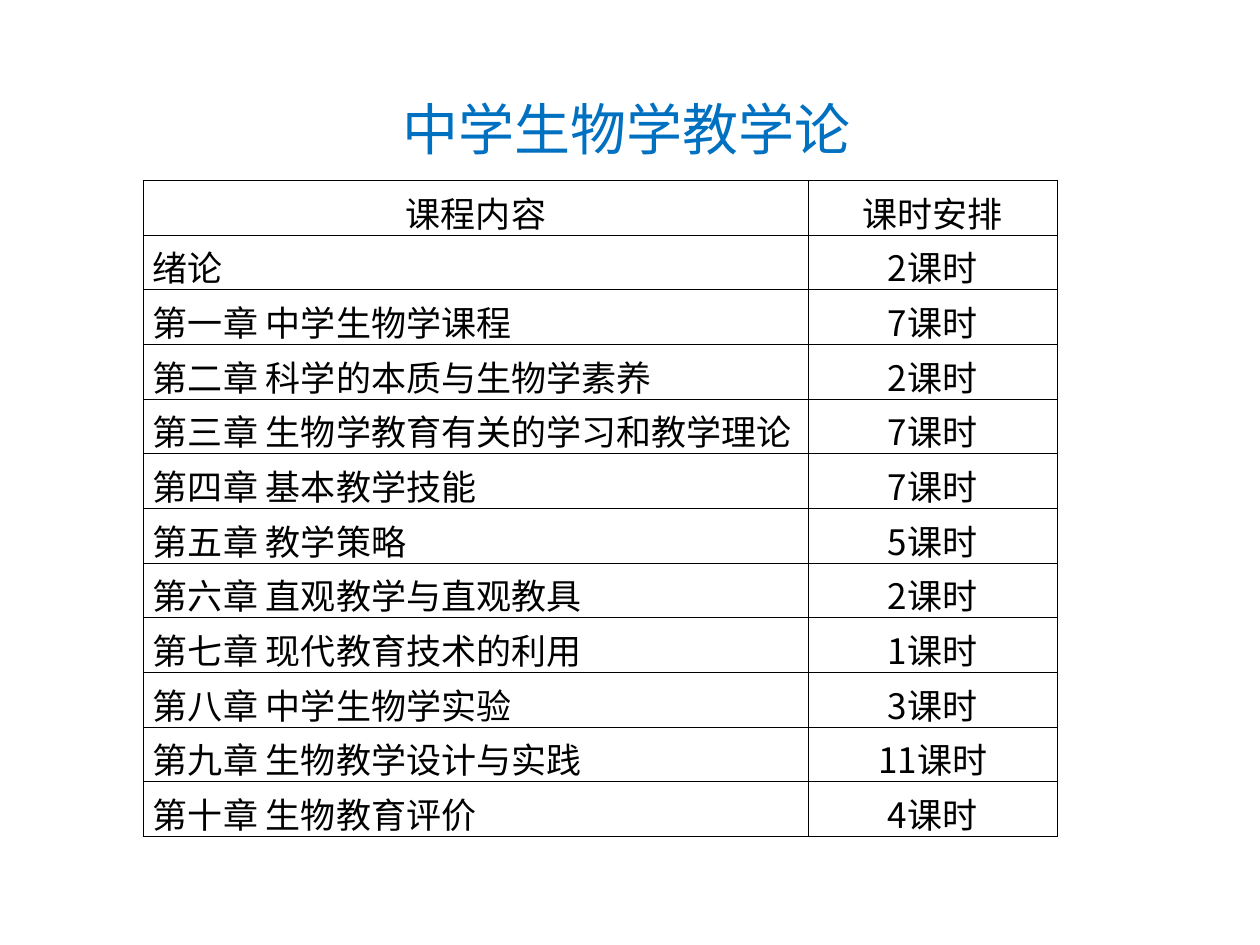
from dataclasses import dataclass

from lxml.etree import SubElement
from pptx import Presentation
from pptx.dml.color import RGBColor
from pptx.enum.text import MSO_ANCHOR, PP_ALIGN
from pptx.oxml.ns import qn
from pptx.util import Pt


@dataclass(frozen=True)
class Theme:
    title_font: str = "Arial"
    body_font: str = "Noto Sans CJK SC"
    title_size: float = 32
    body_size: float = 20
    title_color: str = "0070C0"
    ink: str = "000000"
    border_width: float = 0.45


THEME = Theme()
HEADER = ("课程内容", "课时安排")
COURSE = [
    ("绪论", 2),
    ("第一章 中学生物学课程", 7),
    ("第二章 科学的本质与生物学素养", 2),
    ("第三章 生物学教育有关的学习和教学理论", 7),
    ("第四章 基本教学技能", 7),
    ("第五章 教学策略", 5),
    ("第六章 直观教学与直观教具", 2),
    ("第七章 现代教育技术的利用", 1),
    ("第八章 中学生物学实验", 3),
    ("第九章 生物教学设计与实践", 11),
    ("第十章 生物教育评价", 4),
]


def style_paragraph(paragraph, font_name, size, color, alignment):
    paragraph.alignment = alignment
    paragraph.font.name = font_name
    paragraph.font.size = Pt(size)
    paragraph.font.color.rgb = RGBColor.from_string(color)


def set_borders(cell):
    properties = cell._tc.get_or_add_tcPr()
    for side in ("a:lnL", "a:lnR", "a:lnT", "a:lnB"):
        line = SubElement(properties, qn(side), w=str(Pt(THEME.border_width)))
        fill = SubElement(line, qn("a:solidFill"))
        SubElement(fill, qn("a:srgbClr"), val=THEME.ink)


def fill_cell(cell, text, alignment):
    cell.text = text
    cell.vertical_anchor = MSO_ANCHOR.MIDDLE
    cell.margin_left = cell.margin_right = Pt(5.4)
    cell.margin_top = cell.margin_bottom = Pt(3.6)
    style_paragraph(cell.text_frame.paragraphs[0], THEME.body_font,
                    THEME.body_size, THEME.ink, alignment)
    set_borders(cell)
    cell.fill.background()


def add_title(slide, left, top, width, height):
    box = slide.shapes.add_textbox(Pt(left), Pt(top), Pt(width), Pt(height))
    box.text_frame.word_wrap = True
    paragraph = box.text_frame.paragraphs[0]
    paragraph.text = "中学生物学教学论"
    paragraph.line_spacing = 1.5
    style_paragraph(paragraph, THEME.title_font, THEME.title_size,
                    THEME.title_color, PP_ALIGN.CENTER)
    # Hanging indent
    properties = paragraph._p.get_or_add_pPr()
    properties.set("marL", str(Pt(36)))
    properties.set("indent", str(Pt(-36)))


def add_schedule(slide, left, top, width, height, hours_width):
    rows = [HEADER] + [(topic, f"{hours}课时") for topic, hours in COURSE]
    table = slide.shapes.add_table(len(rows), len(HEADER), Pt(left), Pt(top),
                                   Pt(width), Pt(height)).table
    table.first_row = table.horz_banding = False
    table.columns[0].width = Pt(width - hours_width)
    table.columns[1].width = Pt(hours_width)
    for index, (topic, hours) in enumerate(rows):
        topic_alignment = PP_ALIGN.JUSTIFY if index else PP_ALIGN.CENTER
        fill_cell(table.cell(index, 0), topic, topic_alignment)
        fill_cell(table.cell(index, 1), hours, PP_ALIGN.CENTER)


def main():
    presentation = Presentation()
    presentation.slide_width, presentation.slide_height = Pt(720), Pt(540)
    slide = presentation.slides.add_slide(presentation.slide_layouts[6])
    add_title(slide, 76.5, 31.5, 563, 65)
    add_schedule(slide, 82, 103, 522, 354.24, hours_width=142)
    presentation.save("out.pptx")


if __name__ == "__main__":
    main()
